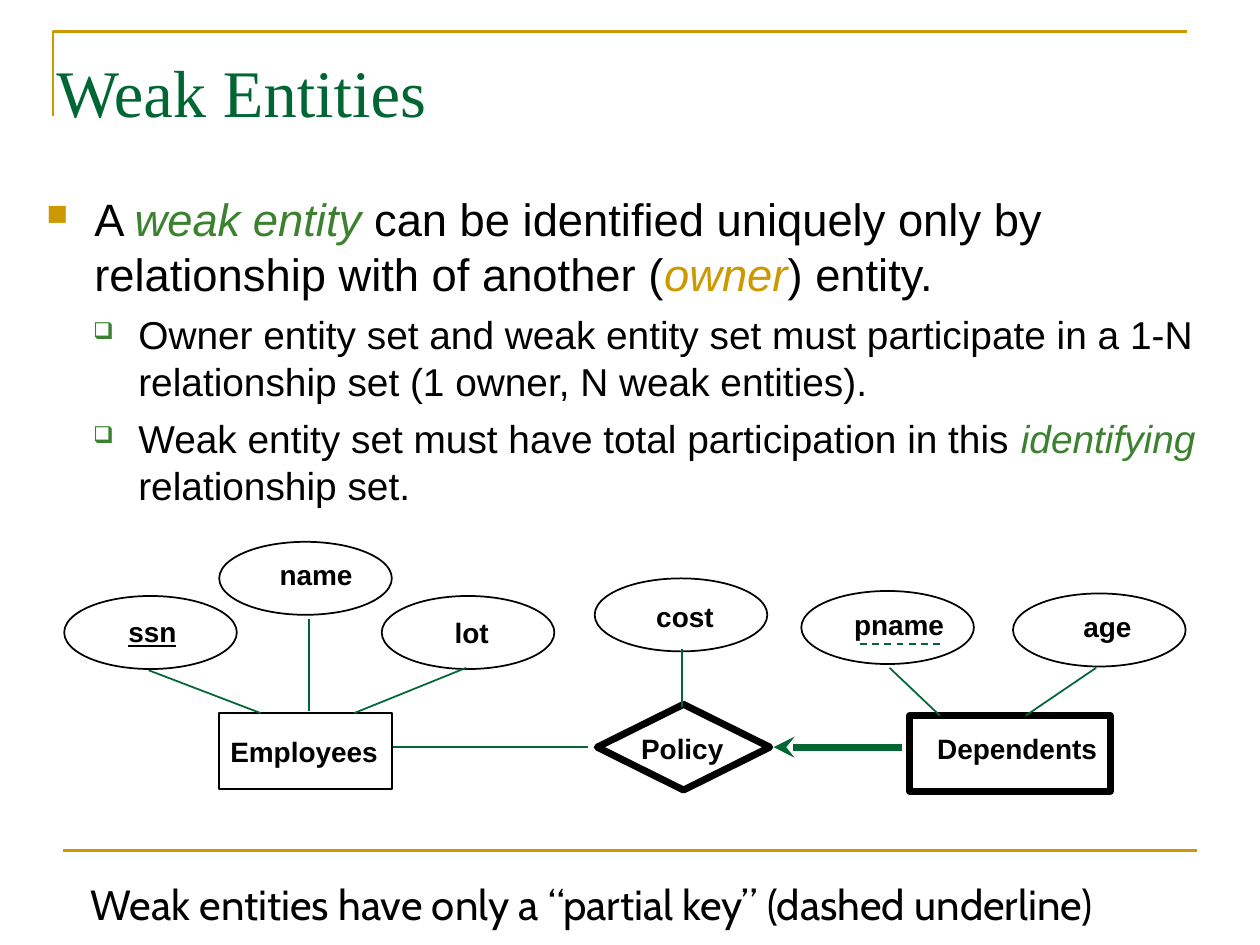
from lxml import etree
from pptx import Presentation
from pptx.dml.color import RGBColor
from pptx.enum.dml import MSO_LINE
from pptx.enum.shapes import MSO_CONNECTOR, MSO_SHAPE as SHAPE
from pptx.enum.text import MSO_ANCHOR, MSO_AUTO_SIZE as FIT
from pptx.oxml.ns import qn
from pptx.util import Inches, Pt

HUES = {"gold": "CC9900", "pine": "006633", "leaf": "3B812F", "black": "000000"}
HUES = {name: RGBColor.from_string(code) for name, code in HUES.items()}

deck = Presentation()
deck.slide_width, deck.slide_height = Inches(10), Inches(7.5)
slide = deck.slides.add_slide(deck.slide_layouts[6])
shapes = slide.shapes


def add_text(text, left, top, width, height, size, font="Arial", hue="black", wrap=True):
    box = shapes.add_textbox(Inches(left), Inches(top), Inches(width), Inches(height))
    frame = box.text_frame
    frame.word_wrap = wrap
    frame.auto_size = FIT.NONE if wrap else FIT.SHAPE_TO_FIT_TEXT
    frame.text = text
    face = frame.paragraphs[0].font
    face.size, face.name, face.color.rgb = Pt(size), font, HUES[hue]
    return frame


def add_line(x1, y1, x2, y2, hue="pine", weight=1):
    line = shapes.add_connector(MSO_CONNECTOR.STRAIGHT, Inches(x1), Inches(y1),
                                Inches(x2), Inches(y2))
    line.line.color.rgb, line.line.width = HUES[hue], Pt(weight)
    etree.SubElement(line._element.spPr, qn("a:effectLst"))
    return line


# Frame lines
path = shapes.build_freeform(Inches(0.42), Inches(0.92))
path.add_line_segments([(Inches(0.42), Inches(0.25)), (Inches(9.42), Inches(0.25))],
                       close=False)
corner = path.convert_to_shape()
corner.shadow.inherit = False
corner.fill.background()
corner.line.color.rgb, corner.line.width = HUES["gold"], Pt(1.5)
add_line(0.5, 6.75, 9.5, 6.75, "gold", 1.5)

# Title and bullets
title = add_text("Weak Entities", 0.35, 0.21, 9.37, 1.02, 38, "Times New Roman", "pine")
title.vertical_anchor = MSO_ANCHOR.MIDDLE

# Each bullet: level, then runs of (text, hue); coloured runs are italic
bullets = [
    (0, [("A ", "black"), ("weak entity ", "leaf"),
         ("can be identified uniquely only by relationship with of another (", "black"),
         ("owner", "gold"), (") entity.", "black")]),
    (1, [("Owner entity set and weak entity set must participate in a 1-N "
          "relationship set (1 owner, N weak entities).", "black")]),
    (1, [("Weak entity set must have total participation in this ", "black"),
         ("identifying ", "leaf"), ("relationship set.", "black")]),
]
# Per level: left margin, hang, mark, mark hue, mark percent, text size
styles = [(0.38, 0.38, "■", "gold", 65, 25.9), (0.73, 0.36, "❑", "leaf", 60, 22.2)]

body = add_text("", 0.27, 1.47, 9.37, 2.68, 25.9)
for i, (level, runs) in enumerate(bullets):
    para = body.add_paragraph() if i else body.paragraphs[0]
    margin, hang, mark, tint, scale, size = styles[level]
    para.level = level
    para.space_before = Pt(6 if i else 0)
    props = para._p.get_or_add_pPr()
    props.set("marL", str(Inches(margin)))
    props.set("indent", str(-Inches(hang)))
    for old in props.findall(qn("a:defRPr")):
        props.remove(old)
    color = etree.SubElement(props, qn("a:buClr"))
    etree.SubElement(color, qn("a:srgbClr"), val=str(HUES[tint]))
    etree.SubElement(props, qn("a:buSzPct"), val=str(scale * 1000))
    etree.SubElement(props, qn("a:buChar"), char=mark)
    for text, hue in runs:
        run = para.add_run()
        run.text = text
        run.font.size, run.font.name = Pt(size), "Arial"
        run.font.color.rgb, run.font.italic = HUES[hue], hue != "black"

# Diagram outlines: kind, left, top, width, height, line weight
ovals = [(6.36, 4.69), (8.04, 4.71), (0.51, 4.73), (3.03, 4.73), (4.72, 4.59), (1.74, 4.3)]
outlines = [(SHAPE.OVAL, x, y, 1.37, 0.58, 1) for x, y in ovals] + [
    (SHAPE.RECTANGLE, 7.22, 5.68, 1.59, 0.6, 4),
    (SHAPE.RECTANGLE, 1.74, 5.66, 1.37, 0.6, 1),
    (SHAPE.DIAMOND, 4.74, 5.59, 1.37, 0.68, 4),
]
for kind, x, y, w, h, weight in outlines:
    node = shapes.add_shape(kind, Inches(x), Inches(y), Inches(w), Inches(h))
    node.shadow.inherit = False
    node.fill.background()
    node.line.color.rgb, node.line.width = HUES["black"], Pt(weight)
    etree.SubElement(node.line._get_or_add_ln(), qn("a:round"))

labels = [
    ("lot", 3.51, 4.84, 0.47), ("name", 2.12, 4.38, 0.78), ("age", 8.5, 4.79, 0.58),
    ("pname", 6.68, 4.77, 0.94), ("Dependents", 7.34, 5.76, 1.47),
    ("Employees", 1.73, 5.78, 1.37), ("ssn", 0.92, 4.83, 0.58),
    ("Policy", 4.99, 5.76, 0.85), ("cost", 5.11, 4.71, 0.68),
]
for text, x, y, w in labels:
    run = add_text(text, x, y, w, 0.36, 16, wrap=False).paragraphs[0].runs[0]
    run.font.bold = True
    if text == "ssn":
        run.font.underline = True

# Links between outlines
links = [
    (2.45, 4.91, 2.45, 5.64), (1.18, 5.32, 2.07, 5.66), (3.7, 5.3, 2.81, 5.66),
    (5.41, 5.61, 5.41, 5.15), (7.06, 5.3, 7.46, 5.68), (8.7, 5.3, 8.14, 5.68),
    (4.67, 5.93, 3.12, 5.93),
]
for ends in links:
    add_line(*ends)
add_line(7.46, 5.11, 6.79, 5.11).line.dash_style = MSO_LINE.DASH
arrow = add_line(6.14, 5.93, 7.16, 5.93, weight=4)
etree.SubElement(arrow.line._get_or_add_ln(), qn("a:headEnd"), type="stealth")

add_text("Weak entities have only a “partial key” (dashed underline)",
         0.62, 6.92, 9.15, 0.5, 24, "Cabin")

deck.save("out.pptx")
